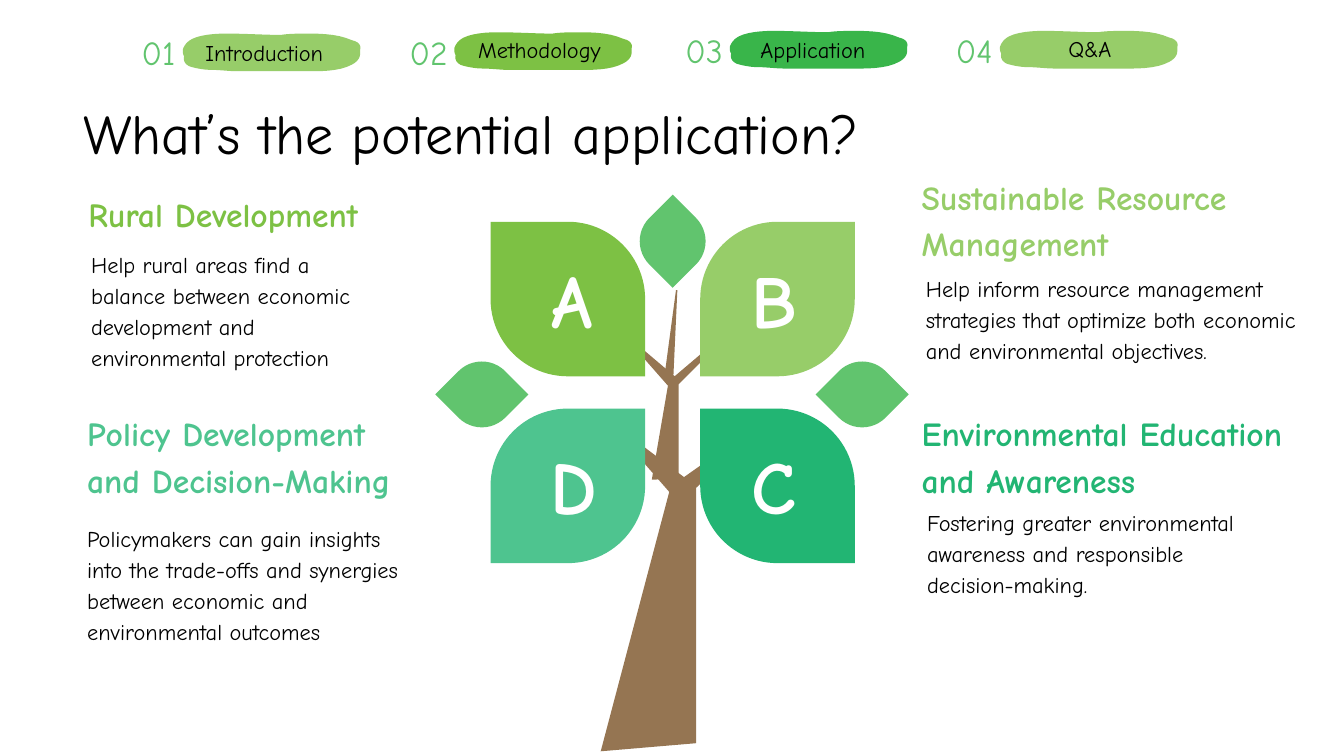
from dataclasses import dataclass, field

from pptx import Presentation
from pptx.dml.color import RGBColor
from pptx.enum.shapes import MSO_SHAPE
from pptx.enum.text import MSO_ANCHOR, MSO_AUTO_SIZE, PP_ALIGN
from pptx.util import Emu, Pt

EMU_PER_PX = 9144
INSET = 10
CURVE_STEPS = 6
LEAF_SIZE = 115
BUD_SIZE = 49

FRAME_SIDES = ("margin_left", "margin_top", "margin_right", "margin_bottom")
LEFT_ROUND, RIGHT_ROUND = (0.5, 0), (0, 0.5)


def text_format(size, bold=False, align=PP_ALIGN.LEFT, anchor=MSO_ANCHOR.TOP,
                spacing=1.0, after=0):
    return {
        "font": {"name": "Comic Neue", "size": Pt(size), "bold": bold},
        "paragraph": {"alignment": align, "line_spacing": spacing,
                      "space_before": Pt(0), "space_after": Pt(after)},
        "frame": {"vertical_anchor": anchor, "word_wrap": True,
                  "auto_size": MSO_AUTO_SIZE.NONE},
    }


@dataclass(frozen=True)
class Theme:
    black: str = "000000"
    white: str = "FFFFFF"
    lime: str = "97CD69"
    grass: str = "7DC144"
    green: str = "39B54A"
    bud: str = "61C46E"
    mint: str = "4EC48F"
    emerald: str = "22B573"
    bark: str = "957552"
    formats: dict = field(default_factory=lambda: {
        "title": text_format(30, anchor=MSO_ANCHOR.MIDDLE),
        "number": text_format(18, align=PP_ALIGN.CENTER, anchor=MSO_ANCHOR.MIDDLE),
        "label": text_format(12, spacing=1.15),
        "heading": text_format(18, bold=True, spacing=1.15, after=16),
        "body": text_format(12, spacing=1.15, after=16),
        "letter": text_format(40, bold=True, align=PP_ALIGN.CENTER,
                              anchor=MSO_ANCHOR.MIDDLE),
    })


THEME = Theme()

PILL_START = (94, 0)
PILL_CURVES = [
    ((87, 0), (79, 0), (73, 1)),
    ((60, 1), (47, 0), (32, 0)),
    ((23, 0), (13, 1), (7, 4)),
    ((3, 6), (1, 9), (0, 12)),
    ((0, 14), (0, 15), (1, 17)),
    ((0, 20), (2, 24), (7, 25)),
    ((11, 26), (16, 27), (21, 27)),
    ((28, 27), (34, 28), (40, 28)),
    ((60, 28), (80, 28), (99, 28)),
    ((108, 28), (119, 27), (126, 23)),
    ((130, 21), (132, 18), (132, 15)),
    ((132, 14), (132, 13), (132, 12)),
    ((133, 9), (131, 6), (126, 5)),
    ((117, 1), (107, 0), (94, 0)),
]

NAVIGATION = [
    ("01", (86, 14), "Introduction", (143, 16), (136, 25), THEME.lime),
    ("02", (287, 14), "Methodology", (346, 14), (338, 24), THEME.grass),
    ("03", (492, 12), "Application", (556, 14), (543, 23), THEME.green),
    ("04", (693, 12), "Q&A", (785, 13), (744, 23), THEME.lime),
]

TREE = [
    [(542, 246), (502, 280), (469, 252), (468, 254), (497, 287),
     (485, 357), (505, 356), (505, 286), (543, 248)],
    [(504, 216), (503, 216), (494, 283), (501, 282)],
    [(567, 314), (509, 355), (464, 321), (463, 326), (498, 366),
     (447, 559), (518, 553), (518, 363), (566, 318)],
]

LEAVES = [
    ("A", (365, 165), (400, 199), RIGHT_ROUND, THEME.grass),
    ("B", (521, 165), (549, 199), LEFT_ROUND, THEME.lime),
    ("C", (521, 304), (549, 337), RIGHT_ROUND, THEME.emerald),
    ("D", (365, 304), (400, 337), LEFT_ROUND, THEME.mint),
]

BUDS = [((476, 155), 315), ((617, 269), 45), ((334, 269), 45)]

TOPICS = [
    ("Rural Development", (56, 130, 269, 91), THEME.grass,
     "Help rural areas find a balance between economic development and "
     "environmental protection", (58, 174, 240, 83)),
    ("Sustainable Resource Management", (676, 117, 327, 91), THEME.lime,
     "Help inform resource management strategies that optimize both economic "
     "and environmental objectives.", (679, 192, 302, 83)),
    ("Environmental Education and Awareness", (676, 293, 327, 91), THEME.emerald,
     "Fostering greater environmental awareness and responsible "
     "decision-making.", (680, 366, 252, 83)),
    ("Policy Development and Decision-Making", (55, 293, 269, 91), THEME.mint,
     "Policymakers can gain insights into the trade-offs and synergies between "
     "economic and environmental outcomes", (55, 378, 264, 83)),
]


def px(value):
    return Emu(round(value * EMU_PER_PX))


def apply(target, values):
    for name, value in values.items():
        setattr(target, name, value)


def write(shape, text, format_name, color):
    values = THEME.formats[format_name]
    frame = shape.text_frame
    apply(frame, values["frame"])
    apply(frame, dict.fromkeys(FRAME_SIDES, px(INSET)))
    paragraph = frame.paragraphs[0]
    apply(paragraph, values["paragraph"])
    run = paragraph.add_run()
    run.text = text
    apply(run.font, values["font"])
    run.font.color.rgb = RGBColor.from_string(color)


def paint(shape, color):
    shape.shadow.inherit = False
    shape.fill.solid()
    shape.fill.fore_color.rgb = RGBColor.from_string(color)
    shape.line.fill.background()


def add_title(slide, text, box):
    title = slide.shapes.title
    apply(title, dict(zip(("left", "top", "width", "height"), map(px, box))))
    write(title, text, "title", THEME.black)


def add_text(slide, text, box, format_name, color):
    write(slide.shapes.add_textbox(*map(px, box)), text, format_name, color)


def add_outline(slide, points, color):
    corners = [(px(x), px(y)) for x, y in points]
    builder = slide.shapes.build_freeform(*corners[0])
    builder.add_line_segments(corners[1:], close=True)
    paint(builder.convert_to_shape(), color)


def curve_points(start, curves):
    points = [start]
    for first, second, end in curves:
        origin = points[-1]
        for step in range(1, CURVE_STEPS + 1):
            t = step / CURVE_STEPS
            weights = ((1 - t) ** 3, 3 * t * (1 - t) ** 2, 3 * t ** 2 * (1 - t), t ** 3)
            knots = (origin, first, second, end)
            points.append(tuple(sum(weight * knot[axis] for weight, knot in zip(weights, knots))
                                for axis in (0, 1)))
    return points[:-1]


def add_pill(slide, corner, color):
    left, top = corner
    points = [(left + x, top + y) for x, y in curve_points(PILL_START, PILL_CURVES)]
    add_outline(slide, points, color)


def add_leaf(slide, corner, size, rounding, color, rotation=0):
    leaf = slide.shapes.add_shape(MSO_SHAPE.ROUND_2_DIAG_RECTANGLE,
                                  *map(px, (*corner, size, size)))
    leaf.adjustments[0], leaf.adjustments[1] = rounding
    leaf.rotation = rotation
    paint(leaf, color)


def main():
    presentation = Presentation()
    presentation.slide_width, presentation.slide_height = px(1000), px(562.5)
    slide = presentation.slides.add_slide(presentation.slide_layouts[5])
    add_title(slide, "What’s the potential application?", (52, 72, 918, 53))
    for number, number_at, label, label_at, pill_at, color in NAVIGATION:
        add_pill(slide, pill_at, color)
        add_text(slide, label, (*label_at, 185, 30), "label", THEME.black)
        add_text(slide, number, (*number_at, 64, 50), "number", THEME.bud)
    for points in TREE:
        add_outline(slide, points, THEME.bark)
    for letter, leaf_at, letter_at, rounding, color in LEAVES:
        add_leaf(slide, leaf_at, LEAF_SIZE, rounding, color)
        add_text(slide, letter, (*letter_at, 51, 47), "letter", THEME.white)
    for corner, rotation in BUDS:
        add_leaf(slide, corner, BUD_SIZE, LEFT_ROUND, THEME.bud, rotation)
    for heading, heading_box, color, body, body_box in TOPICS:
        add_text(slide, heading, heading_box, "heading", color)
        add_text(slide, body, body_box, "body", THEME.black)
    presentation.save("out.pptx")


if __name__ == "__main__":
    main()
